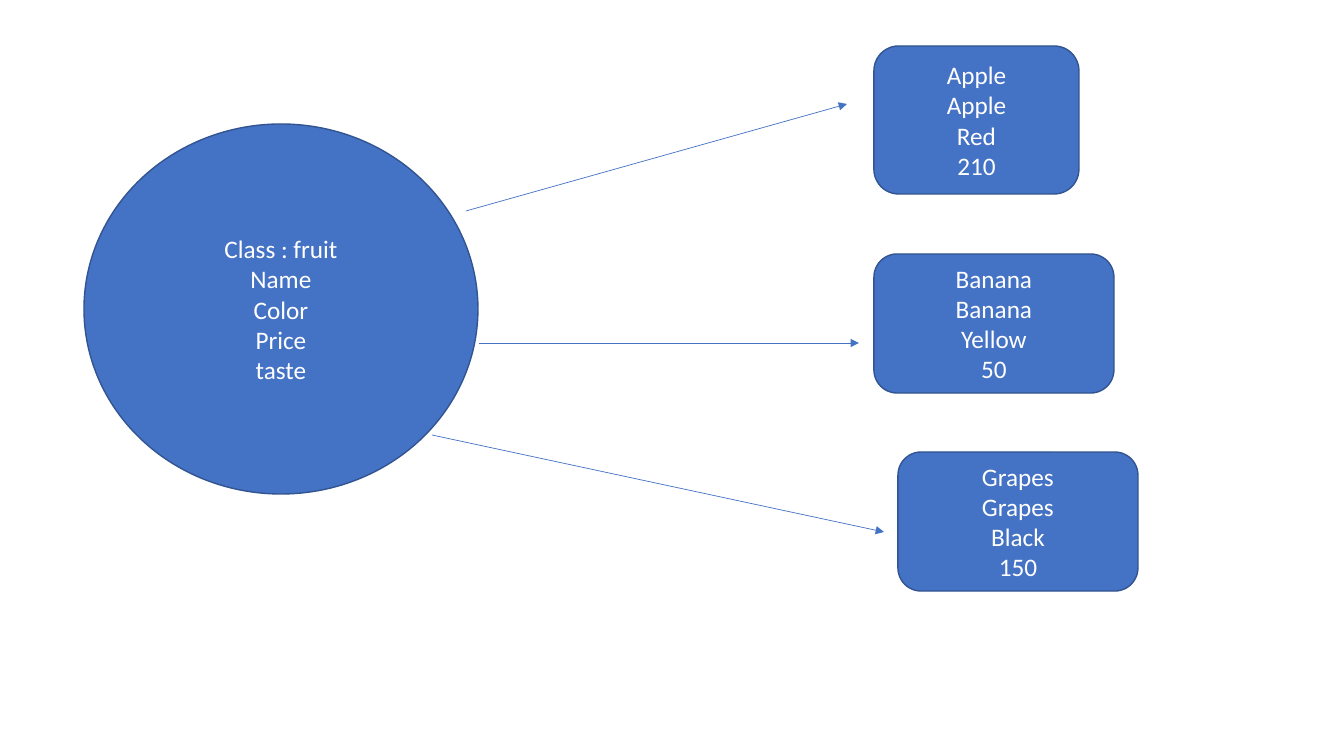
from lxml.etree import SubElement
from pptx import Presentation
from pptx.dml.color import RGBColor
from pptx.enum.shapes import MSO_CONNECTOR as Connector, MSO_SHAPE as Shape
from pptx.enum.text import MSO_ANCHOR as Anchor, PP_ALIGN as Align
from pptx.oxml.ns import qn
from pptx.util import Pt

COLORS = {"fill": "4472C4", "outline": "325491", "text": "FFFFFF", "arrow": "4472C4"}

FRUIT_CLASS = ["Class : fruit", "Name", "Color", "Price", "taste"]

FRUIT_OBJECTS = [
    ((874, 46, 205, 148), ["Apple", "Apple", "Red", "210"]),
    ((874, 254, 240, 139), ["Banana", "Banana", "Yellow", "50"]),
    ((898, 452, 240, 139), ["Grapes", "Grapes", "Black", "150"]),
]

ARROWS = [
    ((466, 211), (847, 104)),
    ((479, 343), (859, 343)),
    ((432, 435), (884, 532)),
]


def px(length):
    return round(length * 914400 / 100.8)


def color(name):
    return RGBColor.from_string(COLORS[name])


def write_lines(shape, lines, size=18, font="Calibri", ink="text", align=Align.CENTER):
    frame = shape.text_frame
    frame.word_wrap = True
    frame.vertical_anchor = Anchor.MIDDLE
    frame.text = "\n".join(lines)
    for paragraph in frame.paragraphs:
        paragraph.alignment = align
        paragraph.font.size = Pt(size)
        paragraph.font.name = font
        paragraph.font.color.rgb = color(ink)


def add_node(slide, kind, box, lines):
    shape = slide.shapes.add_shape(kind, *map(px, box))
    shape.shadow.inherit = False
    shape.fill.solid()
    shape.fill.fore_color.rgb = color("fill")
    shape.line.color.rgb = color("outline")
    shape.line.width = Pt(1)
    write_lines(shape, lines)


def add_arrow(slide, start, end):
    arrow = slide.shapes.add_connector(Connector.STRAIGHT, *map(px, start + end))
    arrow.line.color.rgb = color("arrow")
    arrow.line.width = Pt(0.5)
    SubElement(arrow.line._get_or_add_ln(), qn("a:tailEnd"), type="triangle")
    SubElement(arrow._element.spPr, qn("a:effectLst"))


def build_class_diagram(slide):
    add_node(slide, Shape.OVAL, (84, 124, 394, 370), FRUIT_CLASS)
    for box, lines in FRUIT_OBJECTS:
        add_node(slide, Shape.ROUNDED_RECTANGLE, box, lines)
    for start, end in ARROWS:
        add_arrow(slide, start, end)


def main():
    presentation = Presentation()
    presentation.slide_width = px(1344)
    presentation.slide_height = px(756)
    slide = presentation.slides.add_slide(presentation.slide_layouts[6])
    build_class_diagram(slide)
    presentation.save("out.pptx")


if __name__ == "__main__":
    main()
